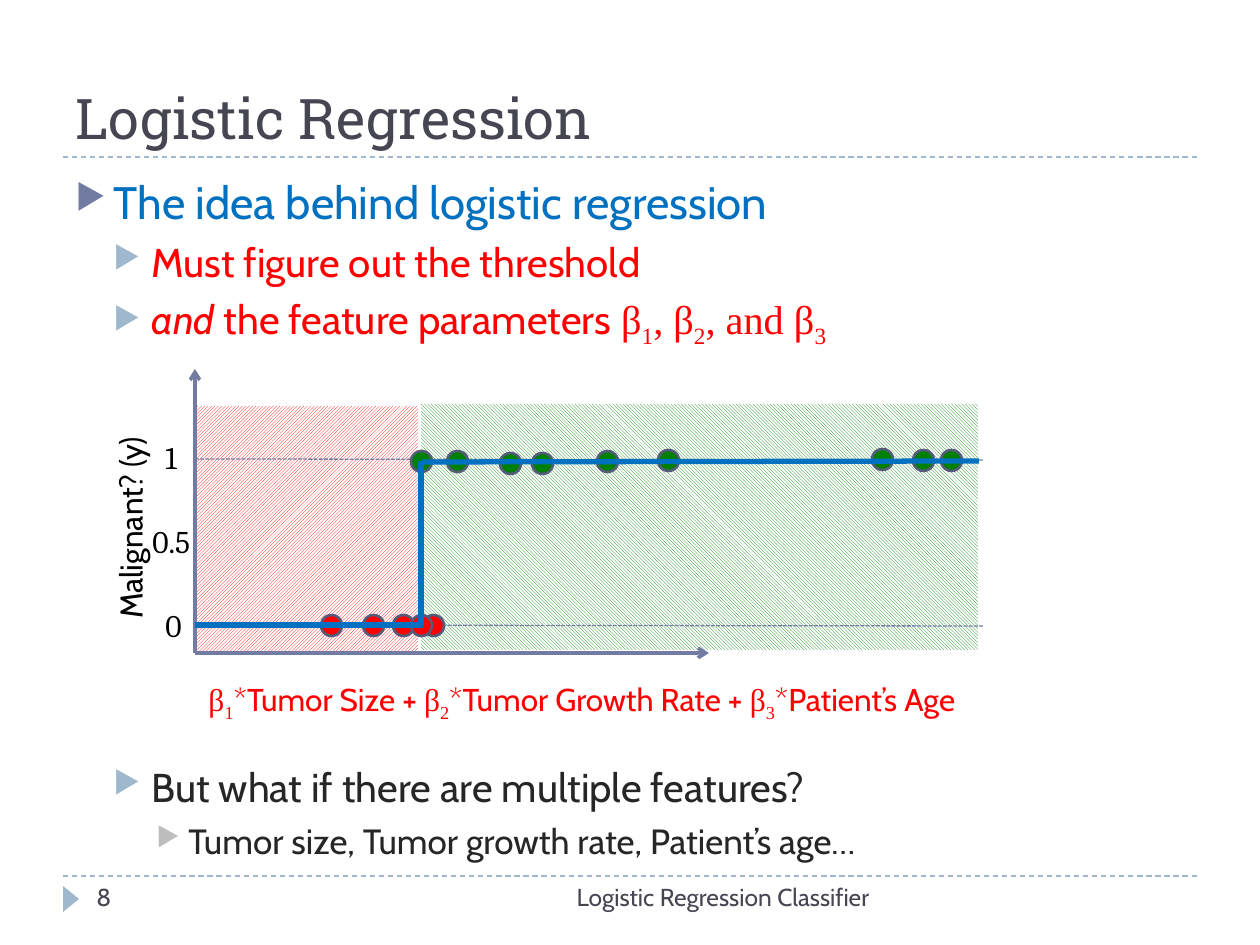
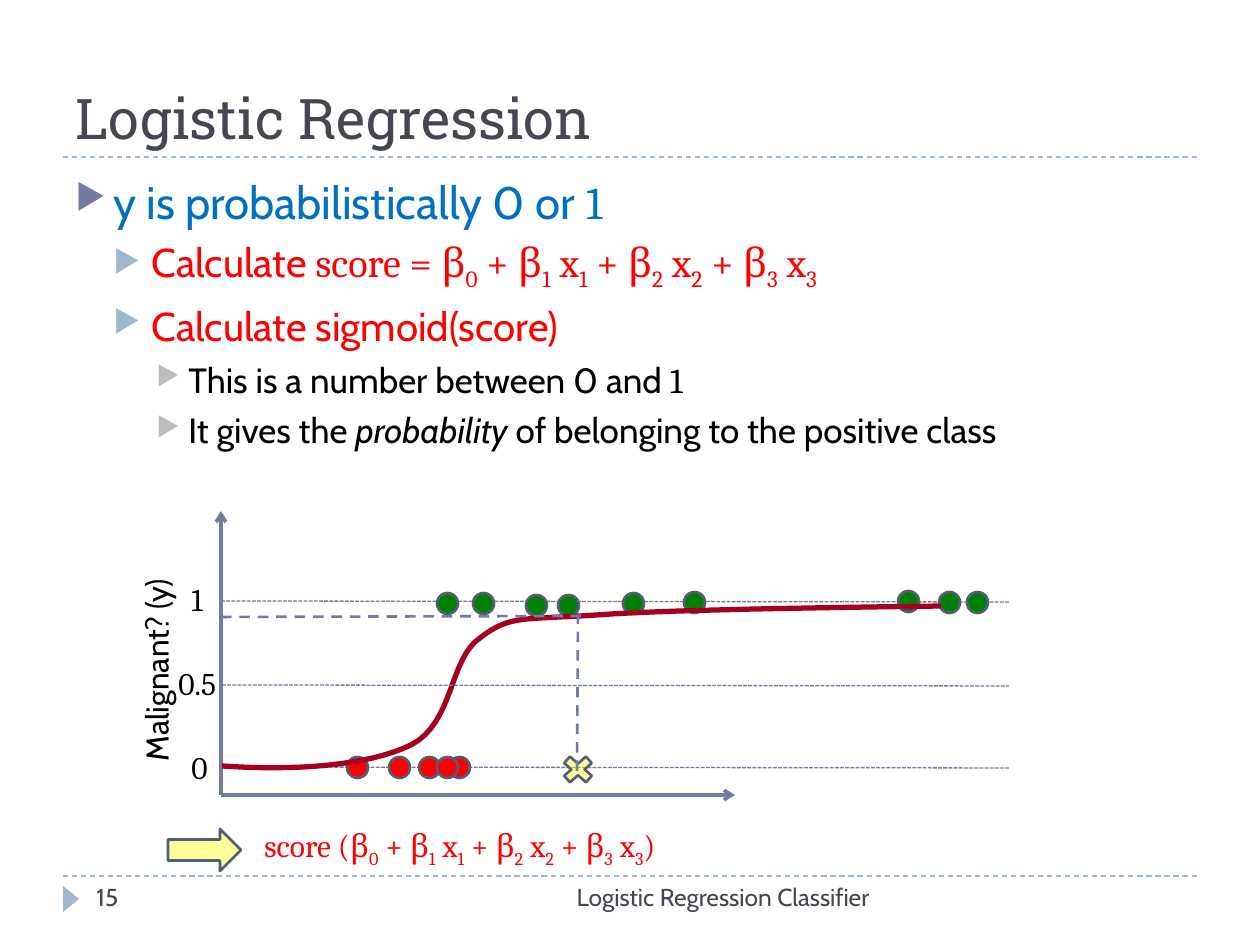
from dataclasses import dataclass, replace

from lxml.etree import SubElement
from pptx import Presentation
from pptx.dml.color import RGBColor
from pptx.enum.dml import MSO_LINE, MSO_PATTERN
from pptx.enum.shapes import MSO_CONNECTOR, MSO_SHAPE
from pptx.enum.text import MSO_ANCHOR, PP_ALIGN
from pptx.oxml.ns import qn
from pptx.shapes.autoshape import Shape
from pptx.slide import Slide
from pptx.util import Emu, Pt

SCALE = 914400 / 126
SANS, SERIF, SLAB, TIMES = "Cabin", "Cambria", "Roboto Slab", "Times New Roman"
INK, SLATE, EDGE, PALE = "464653", "727CA3", "545C79", "9FB8CD"
BLUE, RED, GREEN, BLACK, DARK = "0070C0", "FF0000", "008000", "000000", "262626"
WHITE, YELLOW, WINE, GREY = "FFFFFF", "FFFF00", "A50021", "BDBDBD"
DOT = 21
LOW = [(126, -38), (168, -38), (198, -38), (228, -38), (216, -38)]
HIGH = [(463, -203), (216, -202), (252, -202), (305, -200), (337, -200),
        (402, -202), (677, -204), (718, -203), (746, -203)]
SUM = "β_0 + β_1 x_1 + β_2 x_2 + β_3 x_3"


@dataclass
class Box:
    """A frame in pixels."""
    left: int
    top: int
    width: int
    height: int
    turn: int = 0

    def emu(self) -> list[Emu]:
        """Give the four lengths in EMU."""
        return [px(n) for n in (self.left, self.top, self.width, self.height)]


@dataclass
class Run:
    """A stretch of text, where _ lowers the next character."""
    text: str
    font: str = ""
    slant: bool = False


@dataclass
class Bullet:
    """The look of one list level."""
    left: int
    hang: int
    color: str


@dataclass
class Para:
    """A paragraph with its shared font."""
    runs: list[Run]
    size: int
    color: str
    font: str = SANS
    align: PP_ALIGN = PP_ALIGN.LEFT
    gap: int = 0
    left: int = 0
    bullet: Bullet | None = None


@dataclass
class Pen:
    """A line style."""
    color: str
    width: float
    dash: MSO_LINE | None = None
    arrow: bool = False


LEVELS = [Bullet(38, 38, SLATE), Bullet(76, 38, PALE), Bullet(113, 32, GREY)]
SIZES = [26, 23, 20]
RULE = Pen(PALE, 0.75, MSO_LINE.DASH)
AXIS = Pen(SLATE, 2, arrow=True)
GRID = Pen(SLATE, 0.75, MSO_LINE.SQUARE_DOT)
GUIDE = Pen(SLATE, 1.5, MSO_LINE.DASH)
STEP = Pen(BLUE, 3)
RIM = Pen(EDGE, 1.5)


def px(count: float) -> Emu:
    """Turn pixels into EMU."""
    return Emu(round(count * SCALE))


def hue(code: str) -> RGBColor:
    """Turn a hex string into a colour."""
    return RGBColor.from_string(code)


def item(level: int, color: str, *runs: Run, gap: int = 0) -> Para:
    """Make a bulleted paragraph."""
    return Para(list(runs), SIZES[level], color, gap=gap or (5 if level else 6),
                left=LEVELS[level].left, bullet=LEVELS[level])


def stroke(line, pen: Pen) -> None:
    """Apply a pen to a line format."""
    line.color.rgb = hue(pen.color)
    line.width = Pt(pen.width)
    if pen.dash is not None:
        line.dash_style = pen.dash


def link(slide: Slide, start: tuple[int, int], end: tuple[int, int], pen: Pen) -> None:
    """Draw a straight line."""
    wire = slide.shapes.add_connector(
        MSO_CONNECTOR.STRAIGHT, *(px(n) for n in (*start, *end)))
    stroke(wire.line, pen)
    props = wire.element.spPr
    if pen.arrow:
        SubElement(props.find(qn("a:ln")), qn("a:tailEnd"), type="arrow")
    SubElement(props, qn("a:effectLst"))


def form(slide: Slide, kind: MSO_SHAPE, box: Box, fill: str,
         pen: Pen | None = None, alpha: int = 100) -> Shape:
    """Draw a filled preset shape."""
    shape = slide.shapes.add_shape(kind, *box.emu())
    shape.rotation = box.turn
    shape.shadow.inherit = False
    shape.fill.solid()
    shape.fill.fore_color.rgb = hue(fill)
    if alpha < 100:
        tint = next(shape.element.iter(qn("a:srgbClr")))
        SubElement(tint, qn("a:alpha"), val=str(alpha * 1000))
    if pen:
        stroke(shape.line, pen)
    else:
        shape.line.fill.background()
    return shape


def hatch(slide: Slide, box: Box, kind: MSO_PATTERN, color: str) -> None:
    """Draw a hatched area."""
    fill = form(slide, MSO_SHAPE.RECTANGLE, box, color).fill
    fill.patterned()
    fill.pattern = kind
    fill.fore_color.rgb = hue(color)
    fill.back_color.rgb = hue(WHITE)


def write(slide: Slide, box: Box, paras: list[Para],
          anchor: MSO_ANCHOR = MSO_ANCHOR.TOP) -> None:
    """Place a text box."""
    area = slide.shapes.add_textbox(*box.emu())
    area.rotation = box.turn
    frame = area.text_frame
    frame.word_wrap = True
    frame.vertical_anchor = anchor
    for spot, para in enumerate(paras):
        line = frame.add_paragraph() if spot else frame.paragraphs[0]
        props = line._p.get_or_add_pPr()
        props.set("marL", str(px(para.left)))
        if para.bullet:
            props.set("indent", str(-px(para.bullet.hang)))
            tint = SubElement(props, qn("a:buClr"))
            SubElement(tint, qn("a:srgbClr"), val=para.bullet.color)
            SubElement(props, qn("a:buSzPct"), val="76000")
            SubElement(props, qn("a:buChar"), char="▶")
        line.alignment = para.align
        line.space_before = Pt(para.gap)
        line.font.size = Pt(para.size)
        line.font.color.rgb = hue(para.color)
        line.font.name = para.font
        for run in para.runs:
            head, *rest = run.text.split("_")
            parts = [(head, False)]
            for part in rest:
                parts += [(part[0], True), (part[1:], False)]
            for text, low in parts:
                if not text:
                    continue
                piece = line.add_run()
                piece.text = text
                if run.font:
                    piece.font.name = run.font
                if run.slant:
                    piece.font.italic = True
                if low:
                    piece._r.get_or_add_rPr().set("baseline", "-25000")


def base(slide: Slide, page: int) -> None:
    """Draw the title, rules and footer."""
    for top in (876, 157):
        link(slide, (63, top), (1197, top), RULE)
    form(slide, MSO_SHAPE.ISOSCELES_TRIANGLE, Box(58, 891, 26, 16, 90), PALE)
    write(slide, Box(63, 21, 1134, 136),
          [Para([Run("Logistic Regression")], 32, INK, SLAB)], MSO_ANCHOR.BOTTOM)
    foot = Para([Run("Logistic Regression Classifier")], 14, INK, align=PP_ALIGN.RIGHT)
    write(slide, Box(399, 876, 483, 50), [foot])
    write(slide, Box(84, 876, 273, 50), [Para([Run(str(page))], 14, INK)])


def plot(slide: Slide, left: int, floor: int) -> None:
    """Draw the axes, labels and points from the origin."""
    link(slide, (left, floor), (left + 514, floor), AXIS)
    link(slide, (left, floor), (left, floor - 284), AXIS)
    name = Para([Run("Malignant? (y)")], 18, BLACK, align=PP_ALIGN.CENTER)
    write(slide, Box(left - 186, floor - 150, 242, 50, 270), [name])
    for text, side, rise, width in (("0", 42, 53, 42), ("1", 42, 221, 42),
                                    ("0.5", 55, 137, 77)):
        write(slide, Box(left - side, floor - rise, width, 50),
              [Para([Run(text)], 18, BLACK, SERIF)])
    for rise in (28, 194):
        link(slide, (left, floor - rise), (left + 788, floor - rise + 1), GRID)
    for spots, color in ((LOW, RED), (HIGH, GREEN)):
        for x, y in spots:
            form(slide, MSO_SHAPE.OVAL, Box(left + x, floor + y, DOT, DOT), color, RIM)


def curve(slide: Slide, start: tuple[int, int], bends: list[tuple], pen: Pen) -> None:
    """Draw a chain of cubic curves."""
    count, dots, here = 16, [], start
    for bend in bends:
        for step in range(1, count + 1):
            t = step / count
            mix = ((1 - t) ** 3, 3 * t * (1 - t) ** 2, 3 * t * t * (1 - t), t ** 3)
            dots.append(tuple(
                px(sum(m * p[axis] for m, p in zip(mix, (here, *bend))))
                for axis in (0, 1)))
        here = bend[-1]
    maker = slide.shapes.build_freeform(px(start[0]), px(start[1]))
    maker.add_line_segments(dots, close=False)
    shape = maker.convert_to_shape()
    shape.shadow.inherit = False
    shape.fill.background()
    stroke(shape.line, pen)


def idea(slide: Slide) -> None:
    """Build the threshold slide."""
    hatch(slide, Box(421, 404, 557, 246), MSO_PATTERN.LIGHT_DOWNWARD_DIAGONAL, GREEN)
    hatch(slide, Box(195, 406, 223, 246), MSO_PATTERN.LIGHT_UPWARD_DIAGONAL, RED)
    base(slide, 8)
    write(slide, Box(63, 168, 1134, 693), [
        item(0, BLUE, Run("The idea behind logistic regression")),
        item(1, RED, Run("Must figure out the threshold")),
        item(1, RED, Run("and", slant=True), Run(" the feature parameters "),
             Run("β_1, β_2, and β_3", TIMES)),
        item(1, DARK, Run("But what if there are multiple features?"), gap=236),
        item(2, DARK, Run("Tumor size, Tumor growth rate, Patient’s age…")),
    ])
    terms = ("*Tumor Size + ", "*Tumor Growth Rate + ", "*Patient’s Age")
    runs = [run for spot, term in enumerate(terms, 1)
            for run in (Run(f"β_{spot}", TIMES), Run(term))]
    write(slide, Box(190, 674, 784, 50), [Para(runs, 18, RED, align=PP_ALIGN.CENTER)])
    plot(slide, 195, 653)
    link(slide, (195, 625), (423, 625), STEP)
    link(slide, (421, 625), (421, 461), STEP)
    link(slide, (422, 462), (979, 461), STEP)


def score(slide: Slide) -> None:
    """Build the sigmoid slide."""
    base(slide, 15)
    write(slide, Box(63, 168, 1134, 680), [
        item(0, BLUE, Run("y is probabilistically 0 or "), Run("1", SERIF)),
        item(1, RED, Run("Calculate"), Run(f" score = {SUM}", SERIF)),
        item(1, RED, Run("Calculate sigmoid(score)")),
        item(2, BLACK, Run("This is a number between 0 and "), Run("1", SERIF)),
        item(2, BLACK, Run("It gives the "), Run("probability", slant=True),
             Run(" of belonging to the positive class")),
    ])
    plot(slide, 221, 795)
    curve(slide, (222, 766), [
        ((294, 771), (368, 766), (411, 745)),
        ((454, 723), (449, 659), (480, 638)),
        ((510, 615), (520, 620), (597, 615)),
        ((674, 609), (883, 607), (941, 606)),
    ], replace(STEP, color=WINE))
    link(slide, (222, 685), (1009, 686), GRID)
    form(slide, MSO_SHAPE.MATH_MULTIPLY, Box(557, 751, 42, 37), YELLOW, RIM, 40)
    link(slide, (577, 771), (578, 616), GUIDE)
    link(slide, (221, 617), (581, 616), GUIDE)
    form(slide, MSO_SHAPE.RIGHT_ARROW, Box(168, 829, 73, 42), YELLOW, RIM, 40)
    write(slide, Box(189, 820, 549, 50),
          [Para([Run(f"score ({SUM})")], 18, RED, SERIF, left=63)])


def main() -> None:
    """Build and save the slides."""
    deck = Presentation()
    deck.slide_width, deck.slide_height = px(1260), px(945)
    for draw in (idea, score):
        draw(deck.slides.add_slide(deck.slide_layouts[6]))
    deck.save("out.pptx")


main()
